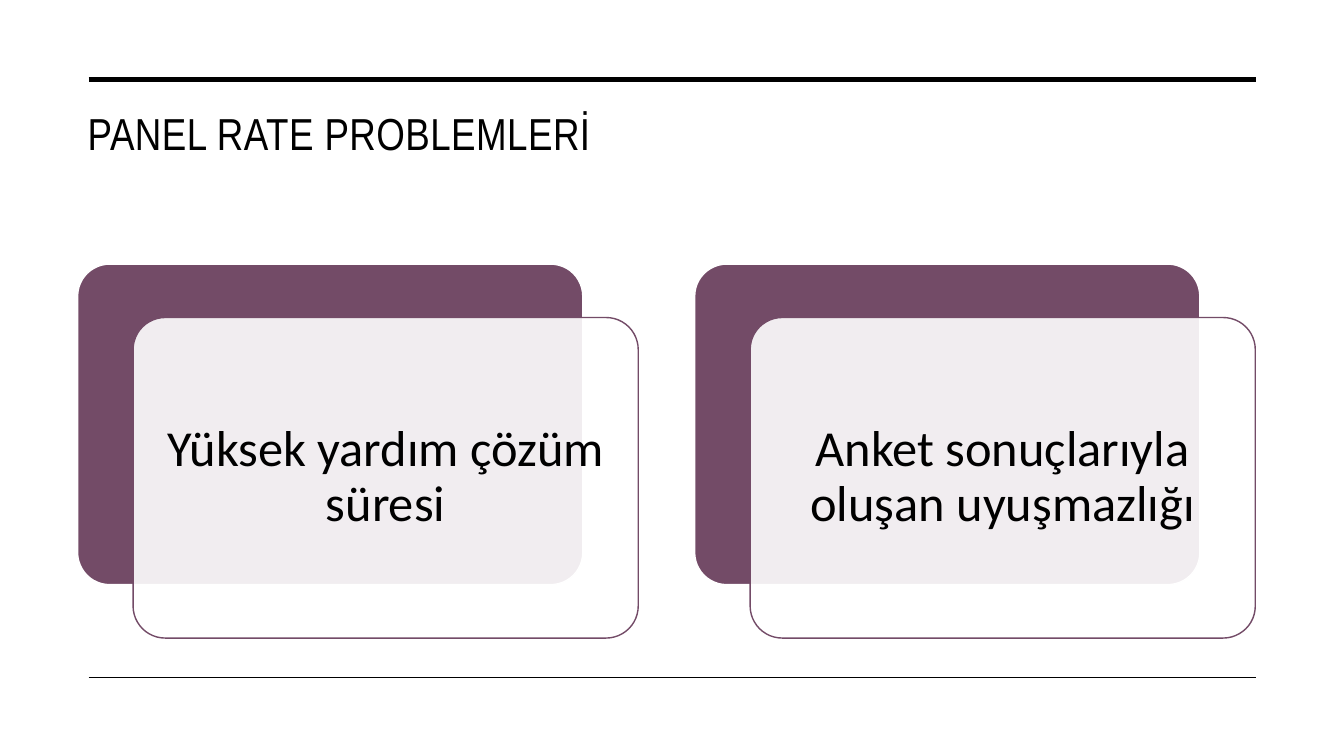
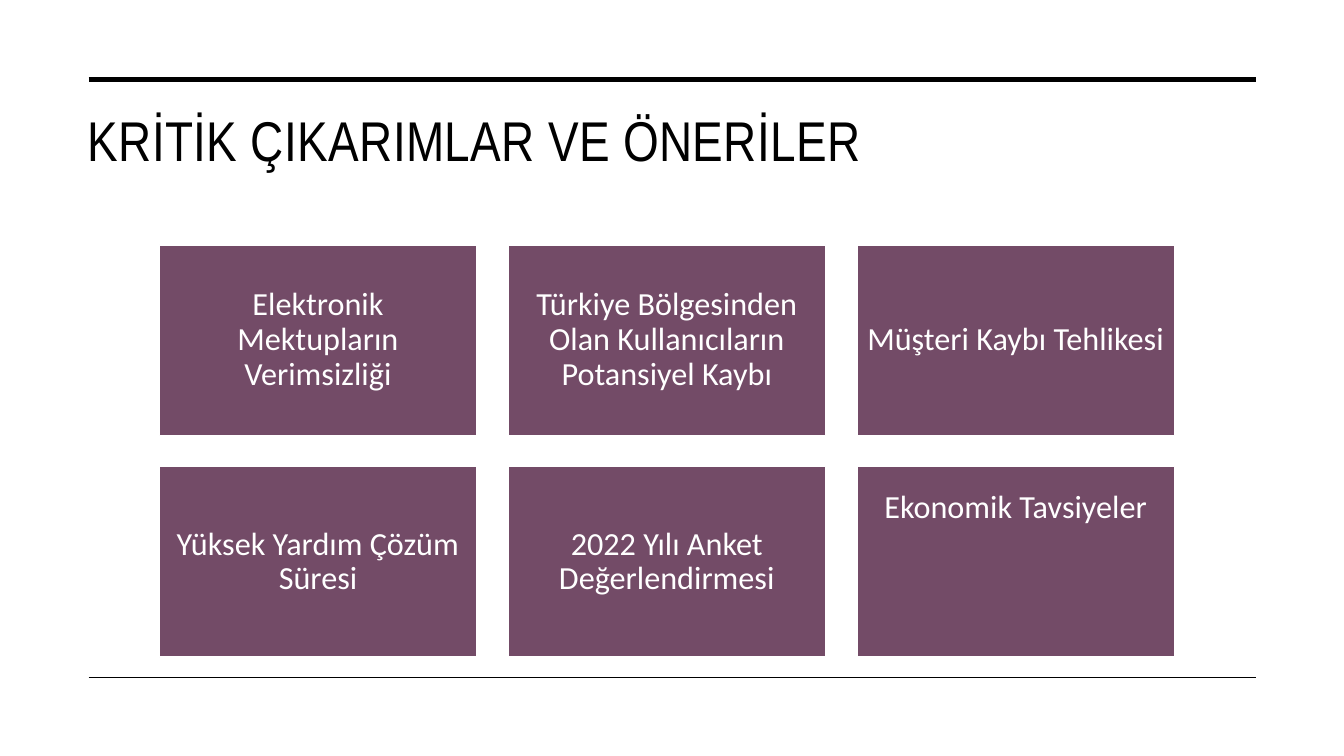
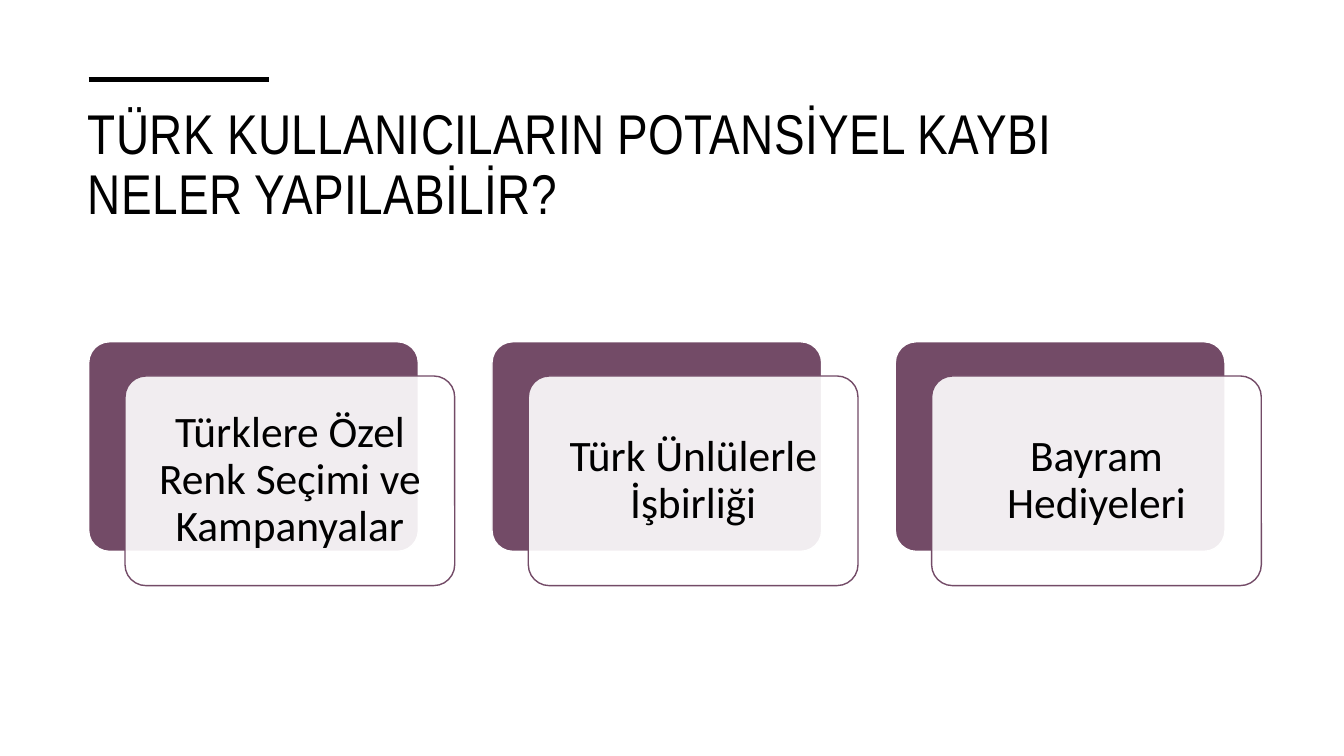
"""Build three slides about panel problems and recommendations."""
import pptx
import pptx.dml.color
import pptx.enum.shapes
import pptx.enum.text
import pptx.oxml.ns
import pptx.util
from lxml import etree

Inches = pptx.util.Inches
Pt = pptx.util.Pt
RGBColor = pptx.dml.color.RGBColor
Shape = pptx.enum.shapes.MSO_SHAPE
Anchor = pptx.enum.text.MSO_ANCHOR
Align = pptx.enum.text.PP_ALIGN
qn = pptx.oxml.ns.qn

BLACK = RGBColor(0x00, 0x00, 0x00)
WHITE = RGBColor(0xFF, 0xFF, 0xFF)
PLUM = RGBColor(0x73, 0x4B, 0x67)
TITLE_FONT = "Arial Narrow"
BODY_FONT = "Calibri"
RULE_LEFT, RULE_RIGHT = 0.88, 12.46
TOP_RULE, BOTTOM_RULE = 0.79, 6.72


def add_rule(slide, y, right, weight):
    """Draw a horizontal black rule from the left margin."""
    rule = slide.shapes.add_connector(
        pptx.enum.shapes.MSO_CONNECTOR.STRAIGHT,
        Inches(RULE_LEFT), Inches(y), Inches(right), Inches(y))
    rule.line.color.rgb = BLACK
    rule.line.width = Pt(weight)
    etree.SubElement(rule.line._get_or_add_ln().getparent(), qn("a:effectLst"))


def add_titled_slide(presentation, title_text, size, height,
                     top_rule_right=RULE_RIGHT, bottom_rule=True, spacing=None):
    """Add a slide with its rules and a formatted title."""
    slide = presentation.slides.add_slide(presentation.slide_layouts[5])
    add_rule(slide, TOP_RULE, top_rule_right, 3.5)
    if bottom_rule:
        add_rule(slide, BOTTOM_RULE, RULE_RIGHT, 1)
    title = slide.shapes.title
    title.left, title.top = Inches(0.77), Inches(1)
    title.width, title.height = Inches(11.69), Inches(height)
    frame = title.text_frame
    frame.text = title_text
    frame.auto_size = pptx.enum.text.MSO_AUTO_SIZE.NONE
    frame.vertical_anchor = Anchor.TOP
    paragraph = frame.paragraphs[0]
    paragraph.alignment = Align.LEFT
    paragraph.line_spacing = spacing
    set_font(paragraph, TITLE_FONT, size, BLACK)
    paragraph._p.pPr.find(qn("a:defRPr")).set("spc", "30")
    return slide


def set_font(paragraph, name, size, color):
    """Set the font of a whole paragraph."""
    paragraph.font.name = name
    paragraph.font.size = Pt(size)
    paragraph.font.color.rgb = color


def add_box(slide, kind, left, top, width, height, fill, line):
    """Add a filled and outlined preset shape without a shadow."""
    box = slide.shapes.add_shape(
        kind, Inches(left), Inches(top), Inches(width), Inches(height))
    box.shadow.inherit = False
    box.fill.solid()
    box.fill.fore_color.rgb = fill
    box.line.color.rgb = line
    box.line.width = Pt(1)
    if kind == Shape.ROUNDED_RECTANGLE:
        box.adjustments[0] = 0.1
    return box


def write_label(box, text, size, color, inset):
    """Write a centred label inside a box."""
    frame = box.text_frame
    frame.word_wrap = True
    frame.vertical_anchor = Anchor.MIDDLE
    frame.margin_left = frame.margin_right = Inches(inset)
    frame.margin_top = frame.margin_bottom = Inches(inset)
    frame.text = text
    paragraph = frame.paragraphs[0]
    paragraph.alignment = Align.CENTER
    paragraph.line_spacing = 0.9
    set_font(paragraph, BODY_FONT, size, color)


def add_layered_cards(slide, labels, left, top, width, height, pitch,
                      shift_x, shift_y, size, inset):
    """Add a row of cards, each a translucent panel over a plum one."""
    for index, label in enumerate(labels):
        x = left + index * pitch
        add_box(slide, Shape.ROUNDED_RECTANGLE, x, top, width, height, PLUM, WHITE)
        panel = add_box(slide, Shape.ROUNDED_RECTANGLE, x + shift_x, top + shift_y,
                        width, height, WHITE, PLUM)
        color = panel.fill._xPr.find(qn("a:solidFill"))[0]
        etree.SubElement(color, qn("a:alpha"), val="90000")
        write_label(panel, label, size, BLACK, inset)


def add_tile_grid(slide, labels, columns=3):
    """Add a grid of plum tiles and return them in reading order."""
    tiles = []
    for index, label in enumerate(labels):
        row, column = divmod(index, columns)
        tile = add_box(slide, Shape.RECTANGLE, 1.58 + column * 3.46,
                       2.43 + row * 2.2, 3.15, 1.89, PLUM, WHITE)
        write_label(tile, label, 23, WHITE, 0.1)
        tiles.append(tile)
    return tiles


def main():
    """Build and save the presentation."""
    presentation = pptx.Presentation()
    presentation.slide_width = Inches(13.33)
    presentation.slide_height = Inches(7.5)

    problems = add_titled_slide(presentation, "PANEL RATE PROBLEMLERİ", 32, 1.26)
    add_layered_cards(
        problems,
        ["Yüksek yardım çözüm süresi", "Anket sonuçlarıyla oluşan uyuşmazlığı"],
        left=0.77, top=2.62, width=5.01, height=3.18, pitch=6.12,
        shift_x=0.55, shift_y=0.53, size=36, inset=0.15)

    findings = add_titled_slide(
        presentation, "KRİTİK ÇIKARIMLAR VE ÖNERİLER", 40, 1.43)
    tiles = add_tile_grid(findings, [
        "Elektronik Mektupların Verimsizliği",
        "Türkiye Bölgesinden Olan Kullanıcıların Potansiyel Kaybı",
        "Müşteri Kaybı Tehlikesi",
        "Yüksek Yardım Çözüm Süresi",
        "2022 Yılı Anket Değerlendirmesi",
        "Ekonomik Tavsiyeler",
    ])
    advice_frame = tiles[-1].text_frame
    advice_frame.vertical_anchor = Anchor.TOP
    advice_frame.margin_top = Inches(0.24)

    actions = add_titled_slide(
        presentation, "TÜRK KULLANICILARIN POTANSİYEL KAYBI\vNELER YAPILABİLİR?",
        40, 1.15, top_rule_right=2.67, bottom_rule=False, spacing=0.9)
    add_layered_cards(
        actions,
        ["Türklere Özel Renk Seçimi ve Kampanyalar",
         "Türk Ünlülerle İşbirliği", "Bayram Hediyeleri"],
        left=0.88, top=3.39, width=3.27, height=2.08, pitch=4,
        shift_x=0.36, shift_y=0.34, size=31, inset=0.13)

    presentation.save("out.pptx")


if __name__ == "__main__":
    main()
